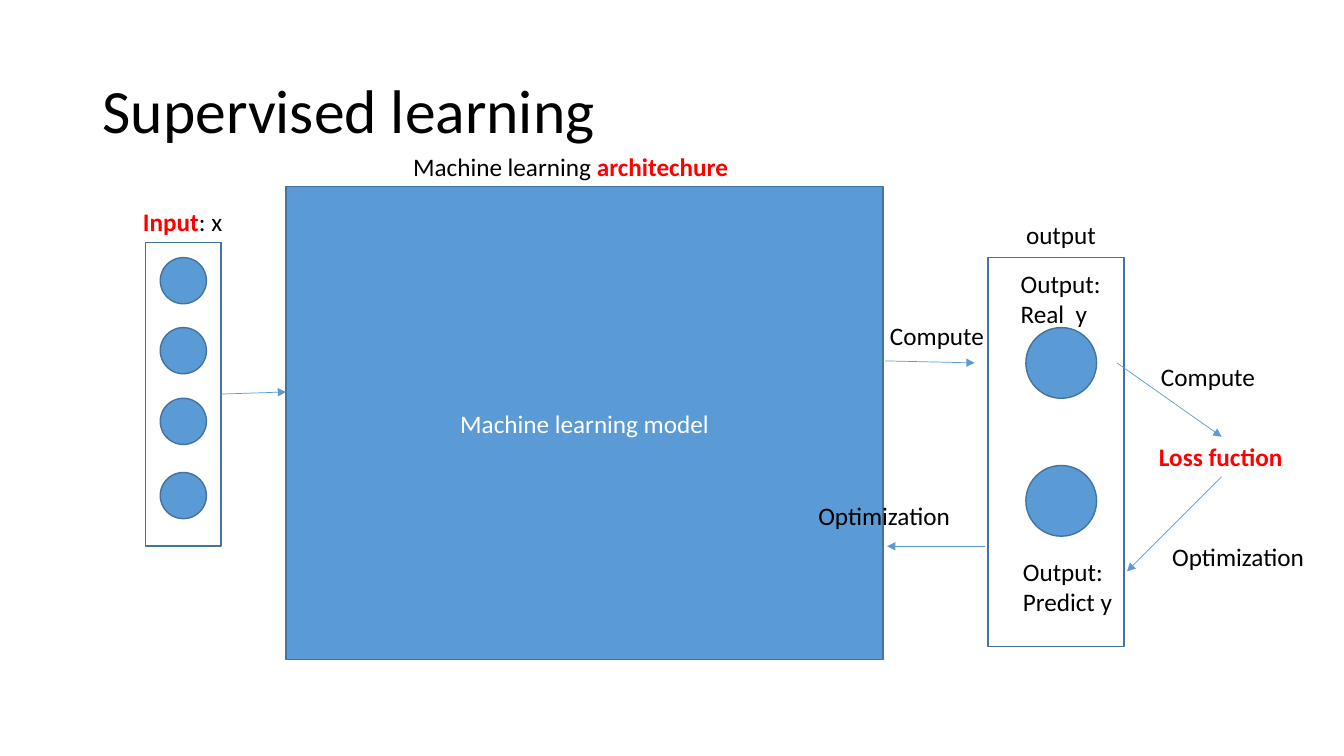
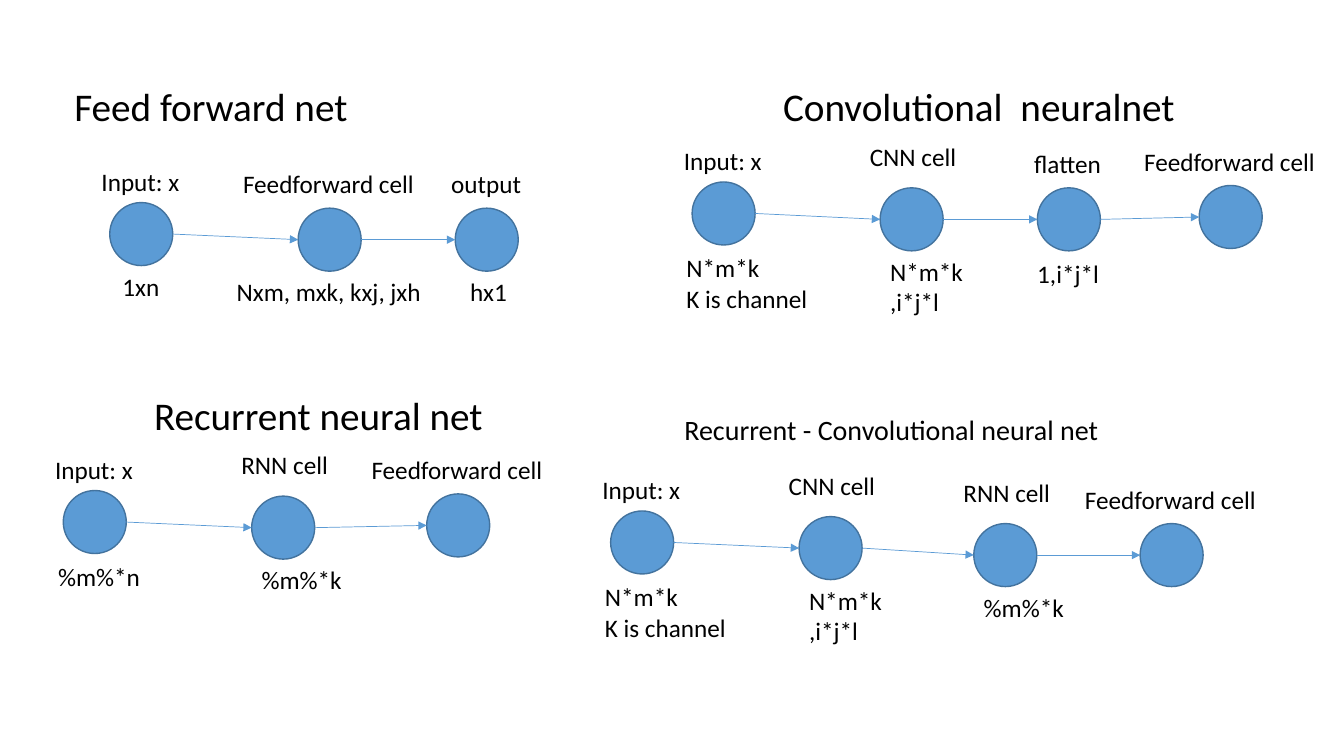
from dataclasses import dataclass

from lxml.etree import SubElement
from pptx import Presentation
from pptx.dml.color import RGBColor
from pptx.enum.shapes import MSO_CONNECTOR, MSO_SHAPE
from pptx.enum.text import MSO_ANCHOR, MSO_AUTO_SIZE, PP_ALIGN
from pptx.oxml.ns import qn
from pptx.util import Pt


@dataclass(frozen=True)
class Theme:
    font: str = "Calibri"
    ink: RGBColor = RGBColor(0x00, 0x00, 0x00)
    key: RGBColor = RGBColor(0xFF, 0x00, 0x00)
    light: RGBColor = RGBColor(0xFF, 0xFF, 0xFF)
    blue: RGBColor = RGBColor(0x5B, 0x9B, 0xD5)
    outline: RGBColor = RGBColor(0x43, 0x73, 0x9E)
    title_size: int = 44
    net_size: int = 28
    long_net_size: int = 20
    body_size: int = 18
    outline_width: float = 1
    arrow_width: float = 0.5


THEME = Theme()


def write(slide, text, left, top, width, size=THEME.body_size, key="", wrap=False):
    height = 7.2 + 1.2 * size * (text.count("\n") + 1)
    box = slide.shapes.add_textbox(Pt(left), Pt(top), Pt(width), Pt(height))
    frame = box.text_frame
    frame.word_wrap = wrap
    frame.auto_size = MSO_AUTO_SIZE.SHAPE_TO_FIT_TEXT
    frame.text = text
    if key:
        before, _, after = text.partition(key)
        frame.clear()
        for part in (before, key, after):
            if part:
                frame.paragraphs[0].add_run().text = part
    for paragraph in frame.paragraphs:
        for run in paragraph.runs:
            run.font.name = THEME.font
            run.font.size = Pt(size)
            run.font.bold = run.text == key
            run.font.color.rgb = THEME.key if run.text == key else THEME.ink
    return box


def draw(slide, kind, left, top, width, height, filled=True):
    shape = slide.shapes.add_shape(kind, Pt(left), Pt(top), Pt(width), Pt(height))
    shape.shadow.inherit = False
    if filled:
        shape.fill.solid()
        shape.fill.fore_color.rgb = THEME.blue
    else:
        shape.fill.background()
    shape.line.color.rgb = THEME.outline
    shape.line.width = Pt(THEME.outline_width)
    return shape


deck = Presentation()
deck.slide_width, deck.slide_height = Pt(960), Pt(540)
blank = deck.slide_layouts[6]
supervised = deck.slides.add_slide(blank)
networks = deck.slides.add_slide(blank)

heading = write(supervised, "Supervised learning", 66.2, 28.8, 828,
                THEME.title_size, wrap=True)
heading.text_frame.auto_size = MSO_AUTO_SIZE.NONE
heading.height = Pt(104.4)
heading.text_frame.vertical_anchor = MSO_ANCHOR.MIDDLE
heading.text_frame.paragraphs[0].line_spacing = 0.9

INPUT_SIZE, OUTPUT_SIZE = 33, 50.5
for top in (184, 234, 284.5, 337.5):
    draw(supervised, MSO_SHAPE.OVAL, 114.5, top, INPUT_SIZE, INPUT_SIZE)
for top in (234, 332.5):
    draw(supervised, MSO_SHAPE.OVAL, 732.8, top, OUTPUT_SIZE, OUTPUT_SIZE)
draw(supervised, MSO_SHAPE.RECTANGLE, 104, 173, 54, 217, filled=False)
draw(supervised, MSO_SHAPE.RECTANGLE, 705.6, 184, 97.2, 277.8, filled=False)

model = draw(supervised, MSO_SHAPE.RECTANGLE, 204.4, 133.2, 426.3, 338)
model.text_frame.text = "Machine learning model"
model.text_frame.vertical_anchor = MSO_ANCHOR.MIDDLE
model_text = model.text_frame.paragraphs[0]
model_text.alignment = PP_ALIGN.CENTER
model_text.runs[0].font.name = THEME.font
model_text.runs[0].font.size = Pt(THEME.body_size)
model_text.runs[0].font.color.rgb = THEME.light

for text, left, top, width, key in (
    ("Input: x", 95, 144, 72, "Input"),
    ("Machine learning architechure", 288, 104.4, 240.5, "architechure"),
    ("output", 725.8, 152.8, 64.8, ""),
    ("Output:\nReal  y", 722, 188.2, 72, ""),
    ("Output:\nPredict y", 723.6, 394, 79.2, ""),
    ("Compute", 628.6, 225.6, 82.8, ""),
    ("Optimization", 577.4, 353.8, 109.4, ""),
    ("Compute", 822.2, 254.5, 82.8, ""),
    ("Loss fuction", 820.8, 312, 103.7, "Loss fuction"),
    ("Optimization", 830.2, 383, 109.4, ""),
):
    write(supervised, text, left, top, width, key=key)

arrows = [
    (supervised, 158, 281.5, 204.4, 280),
    (supervised, 632.2, 257.8, 696.2, 259.2),
    (supervised, 703.4, 390.2, 633.6, 390.2),
    (supervised, 797.8, 259.2, 872.6, 312),
    (supervised, 872.6, 340.6, 805, 408.2),
]

NODE = 45
label_places = {
    "Input: x": (-13, -29.5, 70.5),
    "CNN cell": (-14.5, -36.8, 77),
    "RNN cell": (-14.5, -36.8, 77),
    "Feedforward cell": (-46.5, -31.8, 138.2),
    "output": (-10, -31.8, 64.8),
    "flatten": (-9.4, -31.8, 63.4),
    "1xn": (2, 45.4, 41),
    "Nxm, mxk, kxj, jxh": (-51, 45, 147),
    "hx1": (3.6, 45.4, 41),
    "N*m*k\nK is channel": (-11.2, 47, 102.2),
    "N*m*k\n,i*j*l": (0, 45.4, 67),
    "1,i*j*l": (-7.2, 46.8, 59),
    "%m%*n": (-10.8, 46.8, 73.4),
    "%m%*k": (0, 45.4, 72),
}

nets = (
    ("Feed forward net", 46, 55.5, 281, THEME.net_size, (
        (78.4, 144.7, "Input: x", "1xn"),
        (213, 148.7, "Feedforward cell", "Nxm, mxk, kxj, jxh"),
        (325.2, 148.7, "output", "hx1"),
    )),
    ("Convolutional  neuralnet", 552.3, 55.5, 335.5, THEME.net_size, (
        (494.4, 130, "Input: x", "N*m*k\nK is channel"),
        (628.7, 134.2, "CNN cell", "N*m*k\n,i*j*l"),
        (741, 134.2, "flatten", "1,i*j*l"),
        (856.6, 132.5, "Feedforward cell", ""),
    )),
    ("Recurrent neural net", 103, 275.8, 335.5, THEME.net_size, (
        (45.2, 350.4, "Input: x", "%m%*n"),
        (179.8, 354.4, "RNN cell", "%m%*k"),
        (304.8, 352.8, "Feedforward cell", ""),
    )),
    ("Recurrent - Convolutional neural net", 481.7, 291, 440.6, THEME.long_net_size, (
        (436.2, 365, "Input: x", "N*m*k\nK is channel"),
        (570.8, 369, "CNN cell", "N*m*k\n,i*j*l"),
        (695.6, 374, "RNN cell", "%m%*k"),
        (814.4, 374, "Feedforward cell", ""),
    )),
)

for net_title, title_left, title_top, title_width, title_size, cells in nets:
    write(networks, net_title, title_left, title_top, title_width, title_size, wrap=True)
    for left, top, role, dimensions in cells:
        draw(networks, MSO_SHAPE.OVAL, left, top, NODE, NODE)
        for label in filter(None, (role, dimensions)):
            shift_x, shift_y, width = label_places[label]
            write(networks, label, left + shift_x, top + shift_y, width)
    for here, following in zip(cells, cells[1:]):
        arrows.append((networks, here[0] + NODE, here[1] + NODE / 2,
                       following[0], following[1] + NODE / 2))

for slide, *ends in arrows:
    arrow = slide.shapes.add_connector(MSO_CONNECTOR.STRAIGHT, *map(Pt, ends))
    arrow.line.color.rgb = THEME.blue
    arrow.line.width = Pt(THEME.arrow_width)
    SubElement(arrow.line._get_or_add_ln(), qn("a:tailEnd"), type="triangle")
    SubElement(arrow._element.spPr, qn("a:effectLst"))

deck.save("out.pptx")
